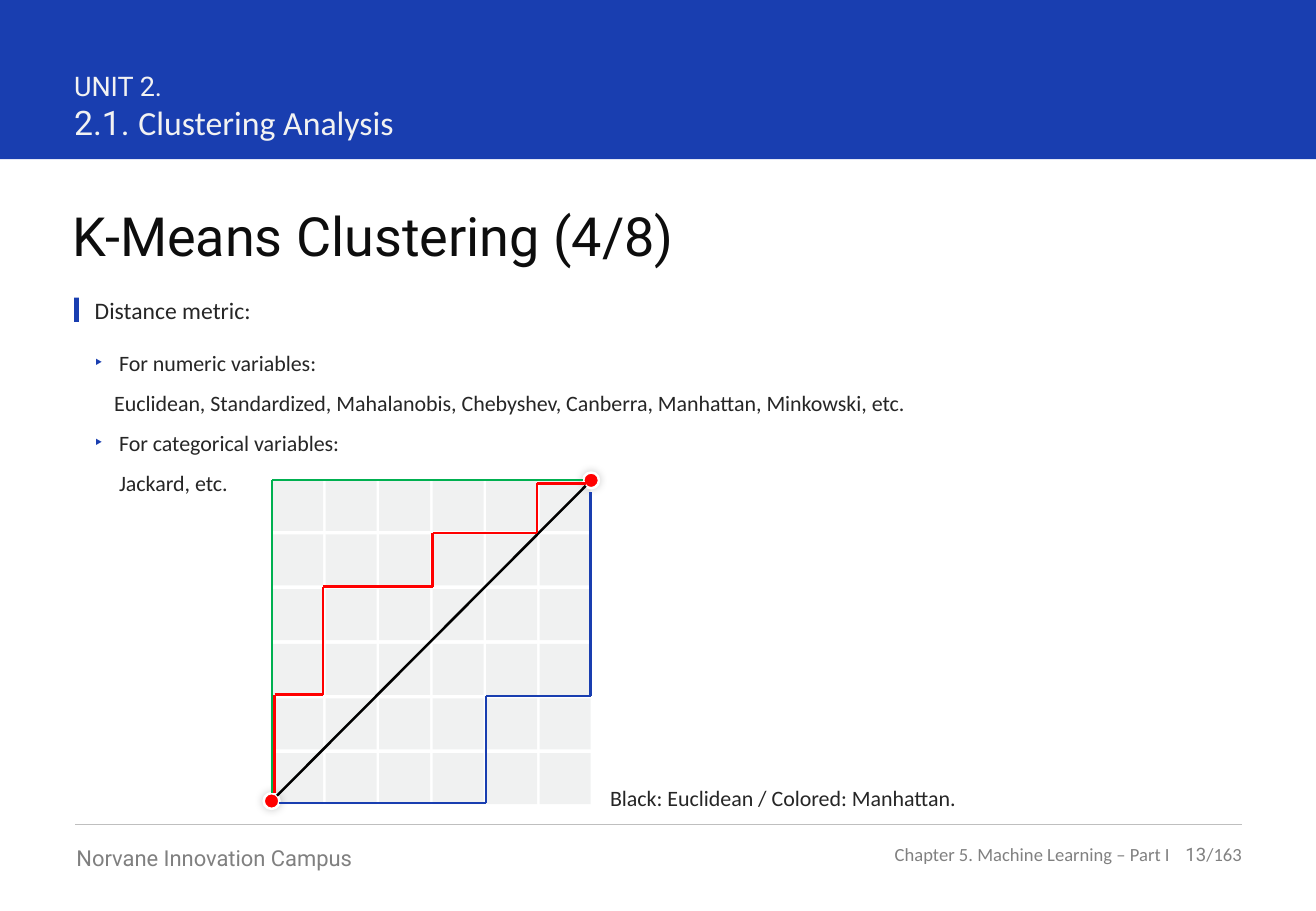
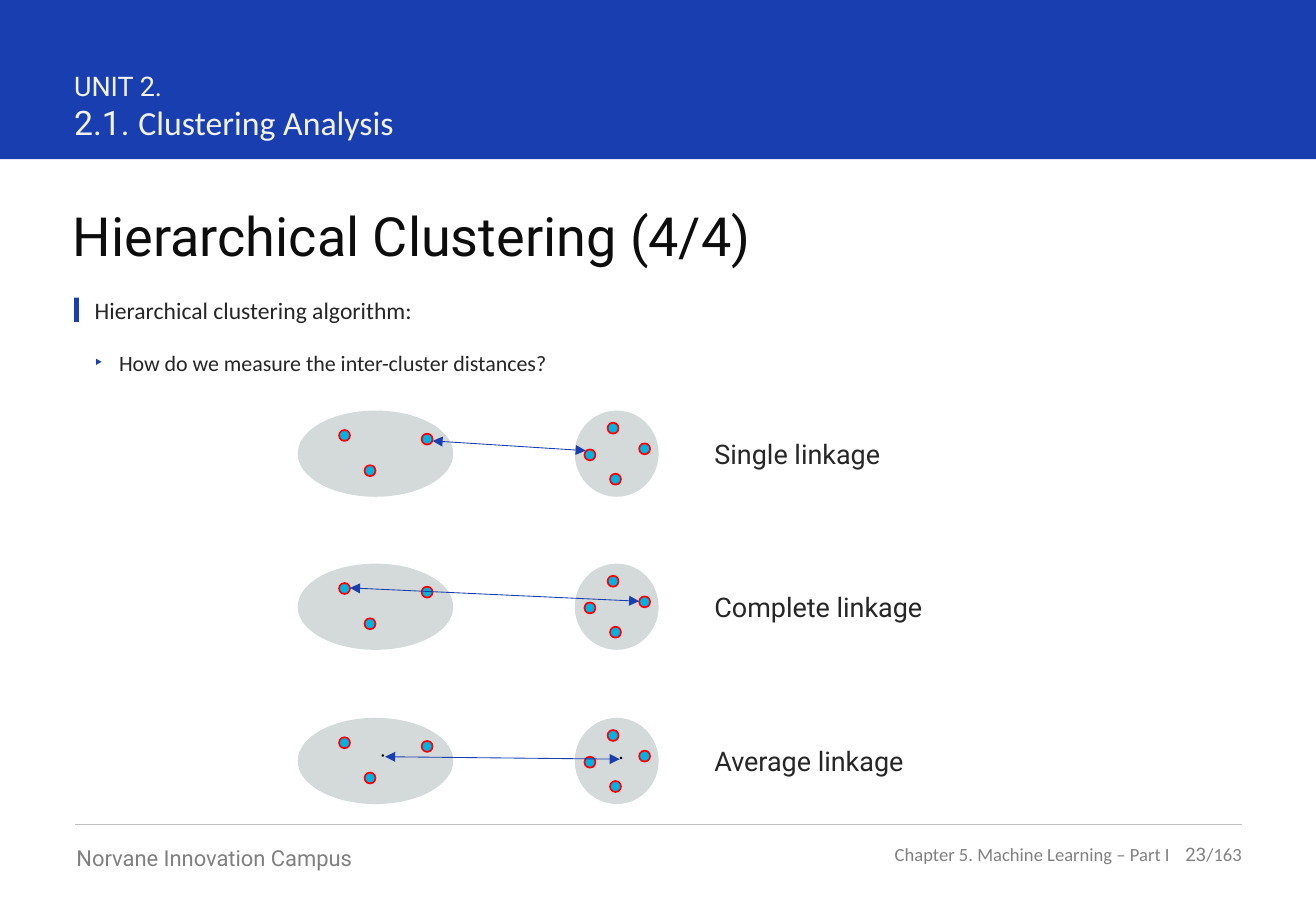
"""Build two clustering slides: distance metrics and linkage methods."""
from itertools import pairwise, product

from lxml import etree
from pptx import Presentation
from pptx.dml.color import RGBColor
from pptx.enum.shapes import MSO_CONNECTOR, MSO_SHAPE
from pptx.enum.text import MSO_ANCHOR, PP_ALIGN
from pptx.oxml.ns import qn
from pptx.util import Inches, Pt

RECTANGLE, OVAL = MSO_SHAPE.RECTANGLE, MSO_SHAPE.OVAL
STRAIGHT = MSO_CONNECTOR.STRAIGHT
LEFT, RIGHT = PP_ALIGN.LEFT, PP_ALIGN.RIGHT
TOP, MIDDLE = MSO_ANCHOR.TOP, MSO_ANCHOR.MIDDLE

BLUE, RED, GREEN, BLACK, WHITE = "193EB0", "FF0000", "00B050", "000000", "FFFFFF"
PALE, TITLE, TEXT, GRAY, RULE = "F2F2F2", "0D0D0D", "262626", "808080", "BFBFBF"
CELL, CLUSTER, POINT = "B4BBBD", "D4D9DA", "00B3E3"
SANS, BODY = "Roboto", "Calibri"

PAGE_WIDTH, PAGE_HEIGHT = 10.83, 7.5
UNIT = [["UNIT 2."], [("2.1. ", SANS, 20), ("Clustering Analysis", BODY, 20)]]
CAMPUS = "Norvane Innovation Campus"
CHAPTER = "Chapter 5. Machine Learning – Part I"
PAGE_TOTAL = "/163"

METRIC_SLIDE = {
    "number": "13",
    "title": "K-Means Clustering (4/8)",
    "heading": "Distance metric:",
    "items": [
        ("For numeric variables:", None),
        ("Euclidean, Standardized, Mahalanobis, Chebyshev, Canberra, "
         "Manhattan, Minkowski, etc.", 0.16),
        ("For categorical variables:", None),
        ("Jackard, etc.", 0.2),
    ],
}
LINKAGE_SLIDE = {
    "number": "23",
    "title": "Hierarchical Clustering (4/4)",
    "heading": "Hierarchical clustering algorithm:",
    "items": [("How do we measure the inter-cluster distances?", None)],
}

GRID_COUNT, CELL_SIZE = 6, 0.42
GRID_LEFT, GRID_TOP, COLUMN_STEP, ROW_STEP = 2.24, 3.95, 0.44, 0.45
END_POINTS = [(2.17, 6.53), (4.8, 3.89)]
ROUTES = [
    (BLACK, [(2.28, 6.55), (4.82, 4)]),
    (GREEN, [(2.24, 6.53), (2.24, 3.95), (4.8, 3.95)]),
    (BLUE, [(2.3, 6.61), (4, 6.61), (4, 5.73), (4.86, 5.73), (4.86, 4.05)]),
    (RED, [(2.26, 6.53), (2.26, 5.72), (2.66, 5.72), (2.66, 4.83), (3.56, 4.83),
           (3.56, 4.39), (4.42, 4.39), (4.42, 3.98), (4.82, 3.98)]),
]
CAPTION = "Black: Euclidean / Colored: Manhattan."

LINKAGE_TOPS = [3.38, 4.64, 5.91]
CLUSTERS = [(2.45, 1.28), (4.73, 0.69)]
CLUSTER_POINTS = [(2.79, 0.16), (3, 0.45), (3.47, 0.19), (4.81, 0.32),
                  (5, 0.1), (5.02, 0.52), (5.26, 0.27)]
LINKAGES = [
    ("Single linkage", (4.82, 0.33), (3.56, 0.25), []),
    ("Complete linkage", (5.26, 0.31), (2.88, 0.2), []),
    ("Average linkage", (5.1, 0.34), (3.17, 0.32), [(3.14, 0.3), (5.1, 0.32)]),
]


def color(value):
    """Turn a hex string into a colour."""
    return RGBColor.from_string(value)


def add_child(parent, tag, **attributes):
    """Append a drawing element with the given attributes."""
    values = {name: str(value) for name, value in attributes.items()}
    return etree.SubElement(parent, qn(tag), values)


def add_text(page, box, paragraphs, size, font=BODY, fill=TEXT, align=LEFT, anchor=TOP,
             insets=(0, 0, 0, 0), after=0, spacing=None):
    """Add a text box; a span is a string or a (text, font, size) tuple."""
    frame = page.shapes.add_textbox(*map(Inches, box)).text_frame
    frame.word_wrap = True
    frame.vertical_anchor = anchor
    (frame.margin_left, frame.margin_top,
     frame.margin_right, frame.margin_bottom) = map(Inches, insets)
    for index, spans in enumerate(paragraphs):
        para = frame.add_paragraph() if index else frame.paragraphs[0]
        para.alignment = align
        para.space_after = Pt(after)
        if spacing:
            para.line_spacing = spacing
        for span in spans:
            text, face, points = (span, font, size) if isinstance(span, str) else span
            run = para.add_run()
            run.text = text
            run.font.name = face
            run.font.size = Pt(points)
            run.font.color.rgb = color(fill)
    return frame


def add_shape(page, kind, box, fill, line=None, width=1, opacity=None):
    """Add a filled shape without a shadow."""
    shape = page.shapes.add_shape(kind, *map(Inches, box))
    shape.shadow.inherit = False
    shape.fill.solid()
    shape.fill.fore_color.rgb = color(fill)
    if opacity:
        fill_color = shape._element.spPr.find(qn("a:solidFill")).find(qn("a:srgbClr"))
        add_child(fill_color, "a:alpha", val=opacity * 1000)
    if line:
        shape.line.color.rgb = color(line)
        shape.line.width = Pt(width)
    else:
        shape.line.fill.background()
    return shape


def add_line(page, start, end, stroke, width, arrows=False):
    """Add a straight line, with arrowheads at both ends if asked."""
    line = page.shapes.add_connector(STRAIGHT, *map(Inches, (*start, *end)))
    line.line.color.rgb = color(stroke)
    line.line.width = Pt(width)
    properties = line._element.spPr
    if arrows:
        for tag in ("a:headEnd", "a:tailEnd"):
            add_child(properties.find(qn("a:ln")), tag, type="triangle")
    add_child(properties, "a:effectLst")


def add_glow_shadow(shape):
    """Give a shape a soft shadow around its edge."""
    effects = shape._element.spPr.find(qn("a:effectLst"))
    shadow = add_child(effects, "a:outerShdw", blurRad=Pt(5), dist=0, dir=0)
    shade = add_child(shadow, "a:srgbClr", val=BLACK)
    add_child(shade, "a:alpha", val=20000)


def add_items(page, items):
    """Add the list; an item with an indent has no bullet."""
    frame = add_text(page, (0.78, 2.8, 9.44, 0.38 + 0.33 * (len(items) - 1)),
                     [[text] for text, indent in items], 13,
                     insets=(0, 0.08, 0.16, 0.08), after=8)
    for para, (text, indent) in zip(frame.paragraphs, items):
        properties = para._p.get_or_add_pPr()
        properties.set("marL", str(Inches(indent or 0.2)))
        properties.set("indent", str(Inches(0 if indent else -0.2)))
        if not indent:
            add_child(add_child(properties, "a:buClr"), "a:srgbClr", val=BLUE)
            add_child(properties, "a:buFont", typeface="Arial")
            add_child(properties, "a:buChar", char="‣")


def add_page(deck, content):
    """Add a slide with band, footer, title, heading and list."""
    page = deck.slides.add_slide(deck.slide_layouts[6])
    add_shape(page, RECTANGLE, (0, 0, PAGE_WIDTH, 1.31), BLUE)
    add_text(page, (0.61, 0.57, 6.37, 0.61), UNIT, 16, SANS, PALE)
    add_line(page, (0.62, 6.79), (10.22, 6.79), RULE, 0.5)
    add_text(page, (0.63, 6.95, 3.16, 0.22), [[CAMPUS]], 13, SANS, GRAY)
    add_text(page, (7.16, 6.94, 2.47, 0.19), [[CHAPTER]], 11, BODY, GRAY, RIGHT, MIDDLE)
    add_text(page, (9.63, 6.94, 0.59, 0.19), [[(content["number"], SANS, 11), PAGE_TOTAL]],
             11, BODY, GRAY, RIGHT, MIDDLE)
    add_text(page, (0.6, 1.67, 9.62, 0.54), [[content["title"]]], 32, SANS, TITLE)
    add_shape(page, RECTANGLE, (0.61, 2.45, 0.04, 0.2), BLUE)
    add_text(page, (0.78, 2.44, 9.44, 0.24), [[content["heading"]]], 14)
    add_items(page, content["items"])
    return page


def draw_distance_grid(page):
    """Draw the street grid with the straight and stepped routes."""
    for row, column in product(range(GRID_COUNT), repeat=2):
        add_shape(page, RECTANGLE,
                  (GRID_LEFT + column * COLUMN_STEP, GRID_TOP + row * ROW_STEP,
                   CELL_SIZE, CELL_SIZE), CELL, opacity=20)
    for left, top in END_POINTS:
        add_glow_shadow(add_shape(page, OVAL, (left, top, 0.13, 0.13), RED, WHITE, 1.5))
    for stroke, corners in ROUTES:
        for start, end in pairwise(corners):
            add_line(page, start, end, stroke, 1.5)
    add_text(page, (5.02, 6.33, 3.51, 0.37), [[CAPTION]], 13, anchor=MIDDLE, spacing=1.5)


def draw_linkages(page):
    """Draw a pair of clusters and the measured distance for each linkage."""
    for top, (label, start, end, centers) in zip(LINKAGE_TOPS, LINKAGES):
        for left, width in CLUSTERS:
            add_shape(page, OVAL, (left, top, width, 0.71), CLUSTER)
        for left, drop in CLUSTER_POINTS:
            add_shape(page, OVAL, (left, top + drop, 0.09, 0.09), POINT, RED)
        for left, drop in centers:
            add_shape(page, OVAL, (left, top + drop, 0.02, 0.02), BLACK)
        add_line(page, (start[0], top + start[1]), (end[0], top + end[1]), BLUE, 0.5,
                 arrows=True)
        add_text(page, (5.88, top + 0.2, 2.5, 0.31), [[label]], 16, SANS, anchor=MIDDLE)


def main():
    """Build and save the deck."""
    deck = Presentation()
    deck.slide_width, deck.slide_height = Inches(PAGE_WIDTH), Inches(PAGE_HEIGHT)
    draw_distance_grid(add_page(deck, METRIC_SLIDE))
    draw_linkages(add_page(deck, LINKAGE_SLIDE))
    deck.save("out.pptx")


if __name__ == "__main__":
    main()
